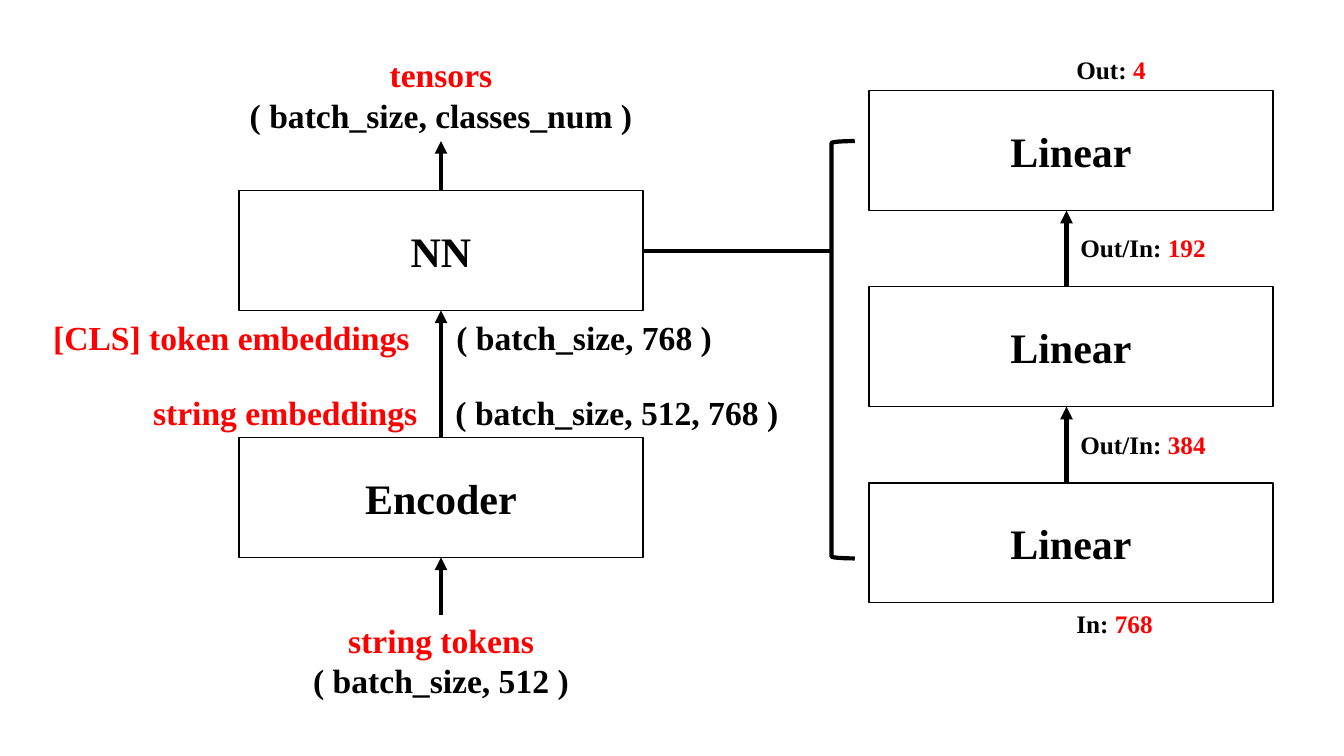
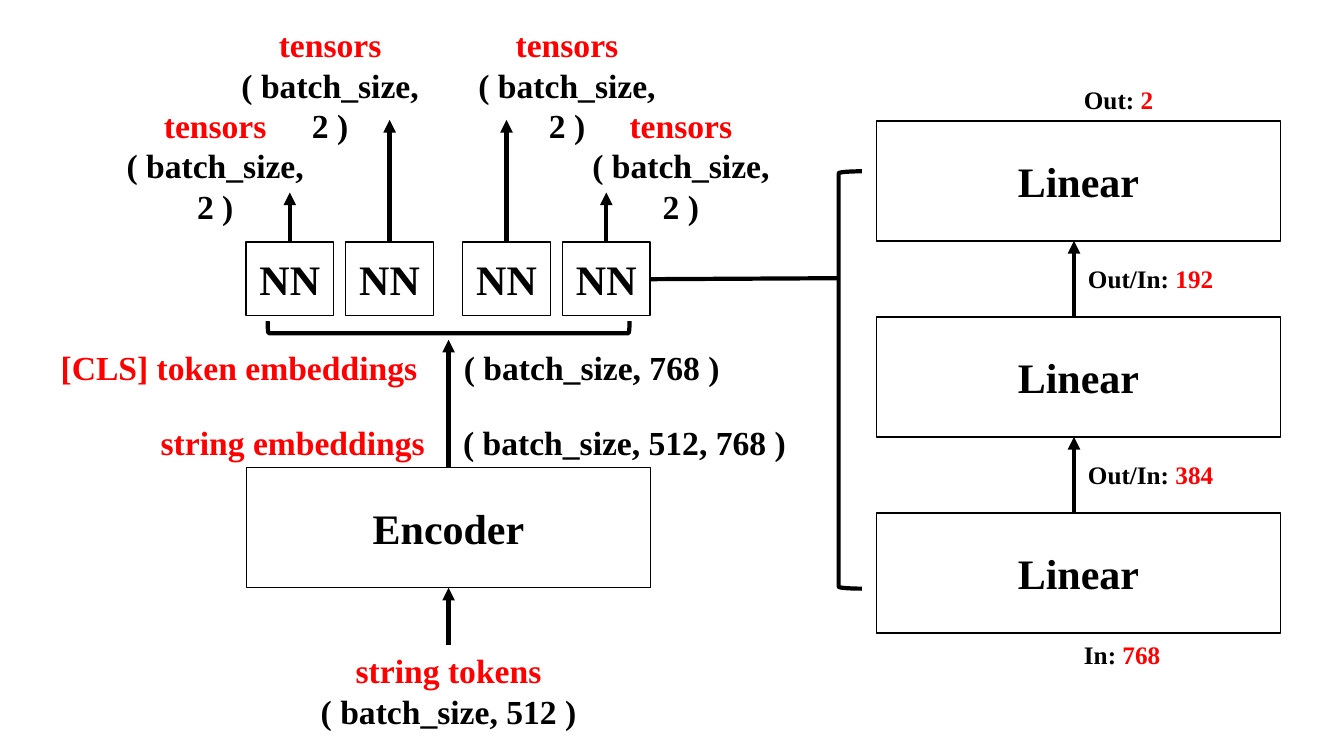
"""Build two network diagrams: one classifier head, then four parallel heads."""
from collections import namedtuple

from lxml import etree
from pptx import Presentation
from pptx import util as u
from pptx.dml.color import RGBColor
from pptx.enum import shapes, text
from pptx.oxml.ns import qn

Theme = namedtuple("Theme", "font ink accent paper big mid small thin thick")
T = Theme("Times New Roman", RGBColor(0, 0, 0), RGBColor(255, 0, 0),
          RGBColor(255, 255, 255), 30, 24, 18, 1, 3)
CELL = u.Inches(0.1)
COLS, ROWS = 133.33, 75


def write(s, paras, at, size=T.mid, align="CENTER", wrap=True, boxed=False):
    at = [int(v * CELL) for v in at]
    if boxed:
        sp = s.shapes.add_shape(shapes.MSO_SHAPE.RECTANGLE, *at)
        sp.shadow.inherit = False
        sp.fill.solid()
        sp.fill.fore_color.rgb = T.paper
        sp.line.color.rgb = T.ink
        sp.line.width = u.Pt(T.thin)
    else:
        sp = s.shapes.add_textbox(*at)
    tf = sp.text_frame
    tf.word_wrap = wrap
    if boxed:
        tf.vertical_anchor = text.MSO_ANCHOR.MIDDLE
    else:
        tf.auto_size = text.MSO_AUTO_SIZE.SHAPE_TO_FIT_TEXT
    for i, runs in enumerate(paras):
        p = tf.add_paragraph() if i else tf.paragraphs[0]
        p.alignment = text.PP_ALIGN[align]
        for words, color in runs:
            r = p.add_run()
            r.text = words
            r.font.name, r.font.size, r.font.bold = T.font, u.Pt(size), True
            r.font.color.rgb = color


def connect(s, x1, y1, x2, y2, arrow=True):
    ends = [int(v * CELL) for v in (x1, y1, x2, y2)]
    ln = s.shapes.add_connector(shapes.MSO_CONNECTOR.STRAIGHT, *ends)
    ln.line.color.rgb = T.ink
    ln.line.width = u.Pt(T.thick)
    if arrow:
        etree.SubElement(ln.line._get_or_add_ln(), qn("a:tailEnd"), type="triangle")
    etree.SubElement(ln._element.spPr, qn("a:effectLst"))


prs = Presentation()
prs.slide_width, prs.slide_height = int(COLS * CELL), int(ROWS * CELL)

BOX_W, BOX_H = 40.1, 11.9
LINEAR_PITCH = 19.45
LABEL_H = 4

Net = namedtuple("Net", "box tip label")
Diagram = namedtuple("Diagram", "dx dy shape classes nets embed_tip link brackets")
small_nets = [
    Net((x, 24, 8.7, 7.3), tip, (label_x, label_y, 23.5, 9.1))
    for x, tip, label_x, label_y in (
        (24.4, 19.1, 9.6, 9.9), (34.3, 11.9, 21, 1.9),
        (45.9, 11.9, 44.5, 1.9), (55.8, 19.1, 55.8, 9.9))
]
diagrams = [
    Diagram(0, 0, "( batch_size, classes_num )", "4",
            [Net((23.7, 18.9, BOX_W, BOX_H), 14, (23.7, 4.9, BOX_W, 9.1))],
            30.8, (63.8, 24.9, 82.5, 24.9), [(82.5, 14, 2.3, 41.4, 0)]),
    Diagram(0.75, 3, "( batch_size, 2 )", "2", small_nets,
            33.7, (64.5, 27.7, 83.2, 27.6),
            [(83.2, 17, 2.3, 41.4, 0), (43.9, 14.5, 1.2, 35.9, 270)]),
]

for d in diagrams:
    s = prs.slides.add_slide(prs.slide_layouts[6])
    left, mid = 23.7 + d.dx, 43.75 + d.dx
    encoder_y, tokens_y = 43.4 + d.dy, 61 + d.dy

    write(s, [[("Encoder", T.ink)]], (left, encoder_y, BOX_W, BOX_H), T.big, boxed=True)
    write(s, [[("string tokens", T.accent)], [("( batch_size, 512 )", T.ink)]],
          (left, tokens_y, BOX_W, 9.1))
    connect(s, mid, tokens_y, mid, encoder_y + BOX_H)
    connect(s, mid, encoder_y, mid, d.embed_tip)
    for name, size, x, y, w in (
            ("string embeddings", "( batch_size, 512, 768 )", 11.3, 38.4, 69.8),
            ("[CLS] token embeddings", "( batch_size, 768 )", 0, 30.9, 75.9)):
        write(s, [[(name, T.accent), ("\t" + size, T.ink)]], (x + d.dx, y + d.dy, w, 5))

    for net in d.nets:
        x, y, w, h = net.box
        write(s, [[("NN", T.ink)]], net.box, T.big, boxed=True)
        connect(s, x + w / 2, y, x + w / 2, net.tip)
        write(s, [[("tensors", T.accent)], [(d.shape, T.ink)]], net.label)

    linear_x, linear_y, flow_x = 86.2 + d.dx, 9 + d.dy, 105.8 + d.dx
    for i in range(3):
        y = linear_y + i * LINEAR_PITCH
        write(s, [[("Linear", T.ink)]], (linear_x, y, BOX_W, BOX_H), T.big, boxed=True)
        if i:
            connect(s, flow_x, y, flow_x, y - LINEAR_PITCH + BOX_H)
    for name, value, x, y, w in (
            ("Out: ", d.classes, 0, -4.1, 9), ("Out/In: ", "192", 0.4, 13.6, 14.6),
            ("Out/In: ", "384", 0.4, 33.1, 14.6), ("In: ", "768", 0, 50.9, 9.7)):
        write(s, [[(name, T.ink), (value, T.accent)]],
              (flow_x + x, linear_y + y, w, LABEL_H), T.small, align="LEFT", wrap=False)

    connect(s, *d.link, arrow=False)
    for *at, turn in d.brackets:
        sp = s.shapes.add_shape(shapes.MSO_SHAPE.LEFT_BRACKET, *[int(v * CELL) for v in at])
        sp.rotation = turn
        sp.shadow.inherit = False
        sp.fill.background()
        sp.line.color.rgb = T.ink
        sp.line.width = u.Pt(T.thick)

prs.save("out.pptx")
